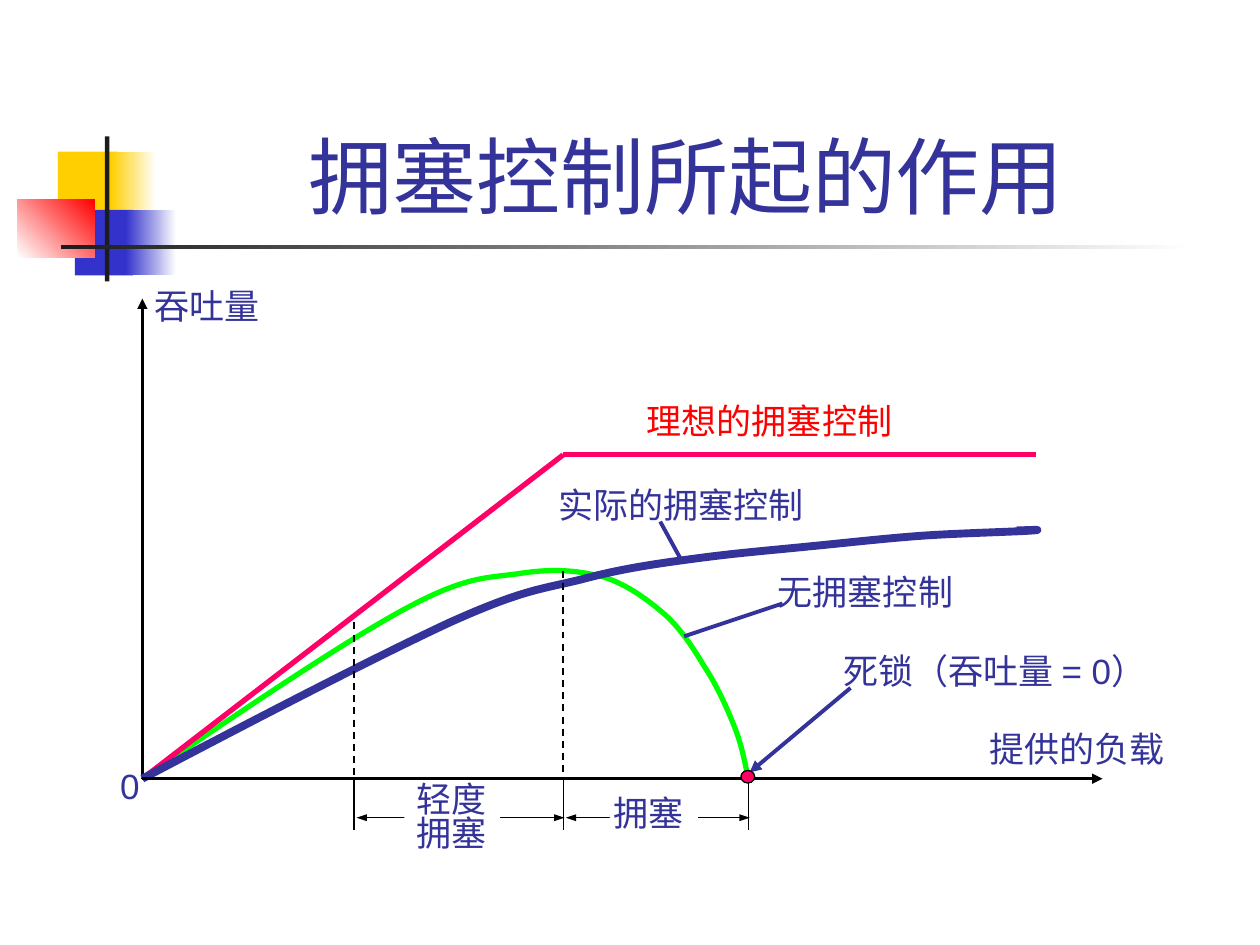
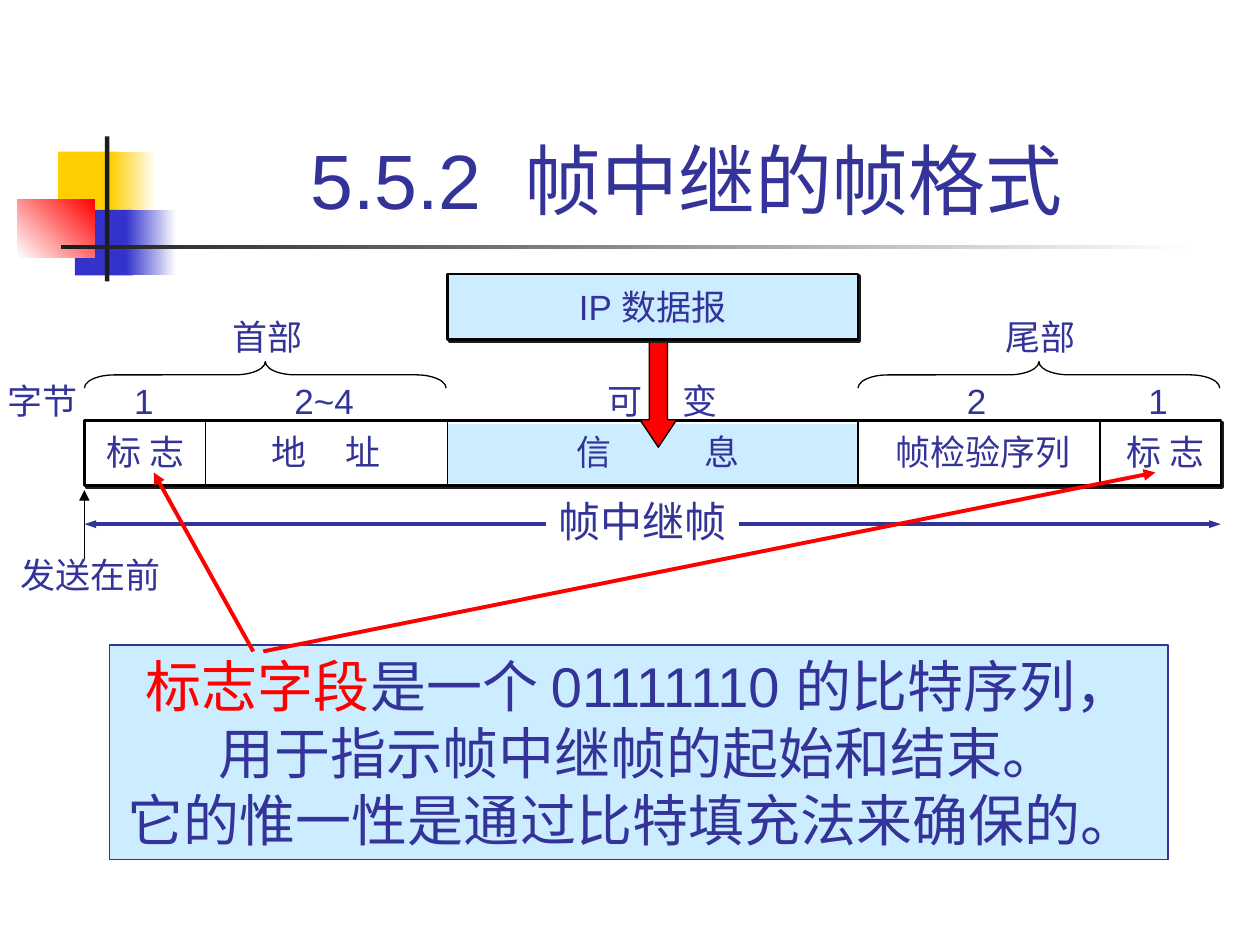
from dataclasses import dataclass
from itertools import accumulate, pairwise
from typing import NamedTuple, Optional, Sequence, Union

from lxml.etree import SubElement
from pptx import Presentation
from pptx.dml.color import RGBColor
from pptx.enum.dml import MSO_LINE
from pptx.enum.shapes import MSO_CONNECTOR, MSO_SHAPE
from pptx.enum.text import MSO_ANCHOR, MSO_AUTO_SIZE, PP_ALIGN
from pptx.oxml.ns import qn
from pptx.util import Inches, Pt

# The slide is a grid of 100 columns by 75 rows.
SLIDE_WIDTH, SLIDE_HEIGHT = Inches(10), Inches(7.5)
CELL = SLIDE_WIDTH // 100
FONT = "Arial"
INDIGO = RGBColor(0x33, 0x33, 0x99)
BLUE = RGBColor(0x33, 0x33, 0xCC)
YELLOW = RGBColor(0xFF, 0xCF, 0x01)
RED = RGBColor(0xFF, 0x00, 0x00)
PINK = RGBColor(0xFF, 0x00, 0x66)
GREEN = RGBColor(0x00, 0xFF, 0x00)
PALE_BLUE = RGBColor(0xCC, 0xEC, 0xFF)
CHARCOAL = RGBColor(0x1C, 0x1C, 0x1C)
BLACK = RGBColor(0, 0, 0)
WHITE = RGBColor(0xFF, 0xFF, 0xFF)

Point = tuple[float, float]


class Box(NamedTuple):
    left: float
    top: float
    width: float
    height: float


class Run(NamedTuple):
    text: str
    color: RGBColor = INDIGO
    spacing: float = 0


class Ornament(NamedTuple):
    box: Box
    start: RGBColor
    end: Optional[RGBColor] = None
    angle: float = 0


@dataclass(frozen=True)
class Caption:
    text: str
    left: float
    top: float
    width: Optional[float] = None
    color: RGBColor = INDIGO


@dataclass(frozen=True)
class Stroke:
    start: Point
    end: Point
    color: RGBColor = BLACK
    weight: float = 0.75
    head: bool = False
    tail: bool = False
    dashed: bool = False


@dataclass(frozen=True)
class Field:
    name: str
    size: str
    columns: float
    name_shift: float = 0
    size_shift: float = 0
    name_tab: float = 0
    size_tab: float = 0


ORNAMENTS = [
    Ornament(Box(4.6, 12.03, 4.8, 5.2), YELLOW),
    Ornament(Box(8.8, 12.03, 3.6, 5.2), YELLOW, WHITE),
    Ornament(Box(5.95, 16.65, 4.6, 5.2), BLUE),
    Ornament(Box(10, 16.65, 4, 5.2), BLUE, WHITE),
    Ornament(Box(1.4, 15.83, 6.1, 4.6), WHITE, RED, 45),
    Ornament(Box(8.33, 10.83, 0.35, 11.5), CHARCOAL),
    Ornament(Box(4.85, 19.45, 90, 0.35), CHARCOAL, WHITE),
]

ORIGIN = (11.3, 61.8)
MILD, HEAVY, DEADLOCK = 28.1, 44.7, 59.4  # load at which each stage starts
KNEE = (HEAVY, 36.1)
UNCONTROLLED = [
    ORIGIN, (19.2, 56.4), (27.2, 51), (32.2, 48.3), (37.2, 45.6), (38.8, 45.9),
    (41.4, 45.5), (44, 45.1), (46, 45.3), (47.9, 45.8), (49.8, 46.4),
    (51.4, 47.6), (52.8, 48.8), (54.1, 50), (55, 51.4), (55.9, 52.9),
    (56.9, 54.4), (57.7, 56.2), (58.3, 57.7), (58.9, 59.2), (59.1, 60.5),
    (DEADLOCK, 61.8),
]
ACTUAL = [
    ORIGIN, (20.6, 56.9), (29.9, 52.1), (35.7, 49.4), (41.5, 46.8),
    (42.8, 46.8), (46.1, 46), (49.4, 45.1), (52.4, 44.7), (55.4, 44.3),
    (58.4, 43.9), (60.9, 43.7), (63.9, 43.4), (67, 43.1), (70.5, 42.7),
    (73.5, 42.5), (76.5, 42.3), (80.8, 42.2), (82, 42.1), (83.2, 42),
    (80.9, 42.1), (80.7, 42.1),
]

FRAME_LEFT, FRAME_TOP, FRAME_HEIGHT = 6.7, 33.35, 5.2
FIELDS = [
    Field("标 志", "1", 9.6, name_shift=0.2),
    Field("地\t址", "2~4", 19.2, name_tab=5.9),
    Field("信\t息", "可\t变", 32.6, 0.45, 0.8, name_tab=10.2, size_tab=5.9),
    Field("帧检验序列", "2", 19.2, 0.4, -0.1),
    Field("标 志", "1", 9.6, 0.5, -0.1),
]


def grid(*cells: float) -> list[int]:
    return [round(cell * CELL) for cell in cells]


def write(frame, lines: Sequence[Union[str, Sequence[Run]]], *, size: float = 20,
          color: RGBColor = INDIGO, align=PP_ALIGN.LEFT, tab: float = 0,
          line_spacing: Optional[float] = None) -> None:
    for number, line in enumerate(lines):
        paragraph = frame.add_paragraph() if number else frame.paragraphs[0]
        paragraph.alignment = align
        if tab:
            stops = SubElement(paragraph._p.get_or_add_pPr(), qn("a:tabLst"))
            SubElement(stops, qn("a:tab"), pos=str(grid(tab)[0]), algn="l")
        if line_spacing:
            paragraph.line_spacing = line_spacing
        for part in [Run(line, color)] if isinstance(line, str) else line:
            run = paragraph.add_run()
            run.text = part.text
            run.font.name, run.font.size = FONT, Pt(size)
            run.font.color.rgb = part.color
            if part.spacing:
                run._r.get_or_add_rPr().set("spc", str(round(part.spacing * 100)))


def paint(shape, fill: Optional[RGBColor], line: Optional[RGBColor] = None,
          weight: float = 0.75) -> None:
    if fill is None:
        shape.fill.background()
    else:
        shape.fill.solid()
        shape.fill.fore_color.rgb = fill
    if line is None:
        shape.line.fill.background()
    else:
        shape.line.color.rgb = line
        shape.line.width = Pt(weight)


def add_preset(slide, kind, box: Box, fill: Optional[RGBColor] = None,
               line: Optional[RGBColor] = None, weight: float = 0.75):
    shape = slide.shapes.add_shape(kind, *grid(*box))
    shape.shadow.inherit = False
    paint(shape, fill, line, weight)
    return shape


def add_raised_box(slide, box: Box, fill: RGBColor):
    """A framed box with a hard shadow to the lower right."""
    shape = add_preset(slide, MSO_SHAPE.RECTANGLE, box, fill, BLACK, 1.5)
    effects = shape.element.spPr.find(qn("a:effectLst"))
    shadow = SubElement(effects, qn("a:outerShdw"), dist=str(Pt(1.4)),
                        dir="2700000", algn="ctr", rotWithShape="0")
    SubElement(shadow, qn("a:srgbClr"), val=str(CHARCOAL))
    return shape


def add_text(slide, box: Box, lines, *, fill: Optional[RGBColor] = None,
             line: Optional[RGBColor] = None, **text_format) -> None:
    shape = slide.shapes.add_textbox(*grid(*box))
    paint(shape, fill, line)
    shape.text_frame.word_wrap = False
    shape.text_frame.auto_size = MSO_AUTO_SIZE.SHAPE_TO_FIT_TEXT
    write(shape.text_frame, lines, **text_format)


def text_width(text: str, tab: float = 0) -> float:
    """Columns taken by 20 pt text and its two insets."""
    if tab:
        return 2 + tab + 2.8
    ems = sum(1 if ord(c) > 255 else 0.28 if c == " " else 0.6 for c in text)
    return 2 + 2.8 * ems


def add_caption(slide, caption: Caption) -> None:
    width = caption.width or text_width(caption.text)
    add_text(slide, Box(caption.left, caption.top, width, 4.4), [caption.text],
             color=caption.color)


def add_centered(slide, text: str, center: float, top: float, tab: float = 0) -> None:
    width = text_width(text, tab)
    add_text(slide, Box(center - width / 2, top, width, 4.4), [text], tab=tab)


def add_stroke(slide, stroke: Stroke) -> None:
    line = slide.shapes.add_connector(MSO_CONNECTOR.STRAIGHT,
                                      *grid(*stroke.start, *stroke.end))
    line.line.color.rgb = stroke.color
    line.line.width = Pt(stroke.weight)
    if stroke.dashed:
        line.line.dash_style = MSO_LINE.DASH
    outline = line.line._get_or_add_ln()
    breadth = "sm" if stroke.head and stroke.tail else "med"
    for tag, wanted in (("a:headEnd", stroke.head), ("a:tailEnd", stroke.tail)):
        if wanted:
            SubElement(outline, qn(tag), type="triangle", w=breadth)
    SubElement(line.element.spPr, qn("a:effectLst"))


def add_curve(slide, knots: Sequence[Point], color: RGBColor, weight: float) -> None:
    """Draw chained cubic Bézier pieces: a start, then three points for each."""
    builder = slide.shapes.build_freeform(*grid(*knots[0]))
    builder.add_line_segments([grid(*knot) for knot in knots[1:]], close=False)
    curve = builder.convert_to_shape()
    outline = next(curve.element.iter(qn("a:path")))
    segments = outline.findall(qn("a:lnTo"))
    for first in range(0, len(segments), 3):
        piece = SubElement(outline, qn("a:cubicBezTo"))
        for segment in segments[first:first + 3]:
            piece.append(segment[0])
            outline.remove(segment)
    curve.shadow.inherit = False
    paint(curve, None, color, weight)


def style_layout(layout, slide) -> None:
    """Give the layout its title style and move the ornaments into it."""
    title = layout.placeholders[0]
    title.left, title.top, title.width, title.height = grid(12.6, 2.35, 85.2, 16)
    title.text_frame.vertical_anchor = MSO_ANCHOR.BOTTOM
    title.text_frame.auto_size = MSO_AUTO_SIZE.NONE
    for number, ornament in enumerate(ORNAMENTS, start=100):
        shape = add_preset(slide, MSO_SHAPE.RECTANGLE, ornament.box, ornament.start)
        if ornament.end is not None:
            shape.fill.gradient()
            shape.fill.gradient_angle = ornament.angle
            for stop, color in zip(shape.fill.gradient_stops, ornament[1:3]):
                stop.color.rgb = color
        shape.element.nvSpPr.cNvPr.set("id", str(number))
        layout.shapes.element.append(shape.element)


def draw_congestion(slide) -> None:
    write(slide.shapes.title.text_frame, ["拥塞控制所起的作用 "], size=48,
          align=PP_ALIGN.CENTER)
    base = ORIGIN[1]
    add_stroke(slide, Stroke(ORIGIN, (ORIGIN[0], 23.7), weight=1.5, tail=True))
    add_curve(slide, UNCONTROLLED, GREEN, 3)
    for start, end in ((ORIGIN, KNEE), (KNEE, (82.2, KNEE[1]))):
        add_stroke(slide, Stroke(start, end, PINK, 3))
    add_curve(slide, ACTUAL, INDIGO, 4.5)
    for load, top in ((MILD, 49.4), (HEAVY, 45.3)):
        add_stroke(slide, Stroke((load, top), (load, base), weight=1, dashed=True))
    for load in (MILD, HEAVY, DEADLOCK):
        add_stroke(slide, Stroke((load, base), (load, 65.9)))
    for start, end in ((MILD, HEAVY), (HEAVY, DEADLOCK)):
        add_stroke(slide, Stroke((start + 0.2, 64.9), (end + 0.1, 64.9),
                                 head=True, tail=True))
    add_preset(slide, MSO_SHAPE.RECTANGLE, Box(48.4, 62.8, 7, 3.2), WHITE)
    add_text(slide, Box(32.1, 61.9, 7.6, 6.4), ["轻度", "拥塞"], fill=WHITE,
             line_spacing=0.8)
    add_stroke(slide, Stroke(ORIGIN, (87.5, base), weight=1.5, tail=True))
    for caption in (
        Caption("提供的负载", 77.55, 57.25), Caption("吞吐量", 11.3, 22.1),
        Caption("理想的拥塞控制", 50.35, 31.2, color=RED),
        Caption("实际的拥塞控制", 43.35, 37.9), Caption("无拥塞控制", 60.75, 44.75),
        Caption("死锁（吞吐量 = 0）", 65.95, 51.05, 27.4),
        Caption("拥塞", 47.7, 62.3), Caption("0", 8.55, 60.2),
    ):
        add_caption(slide, caption)
    add_stroke(slide, Stroke((52.4, 41.4), (54.1, 44.5), INDIGO, 2.25))
    add_stroke(slide, Stroke((62.1, 47.9), (54.3, 50.5), INDIGO, 2.25))
    add_stroke(slide, Stroke((67.5, 54.6), (59.5, 61.3), INDIGO, 2.25, tail=True))
    add_preset(slide, MSO_SHAPE.OVAL, Box(58.8, 61.15, 1.1, 1), PINK, BLACK)


def draw_frame_format(slide) -> None:
    write(slide.shapes.title.text_frame,
          [[Run("5.5.2"), Run(" ", spacing=12), Run("帧中继的帧格式 ")]],
          size=44, align=PP_ALIGN.CENTER)
    edges = list(accumulate((f.columns for f in FIELDS), initial=FRAME_LEFT))
    right, bottom = edges[-1], FRAME_TOP + FRAME_HEIGHT
    info_left, info_right = edges[2:4]
    info_width = info_right - info_left

    add_stroke(slide, Stroke((FRAME_LEFT, 41.6), (right, 41.6), INDIGO, 2.25, True, True))
    add_text(slide, Box(43.35, 38.8, 15.3, 5), ["帧中继帧"], size=24, fill=WHITE)
    add_caption(slide, Caption("发送在前", 0.65, 43.4))
    add_stroke(slide, Stroke((FRAME_LEFT, 44.4), (FRAME_LEFT, 38.9), tail=True))

    add_raised_box(slide, Box(FRAME_LEFT, FRAME_TOP, right - FRAME_LEFT, FRAME_HEIGHT), WHITE)
    add_preset(slide, MSO_SHAPE.RECTANGLE,
               Box(info_left, FRAME_TOP + 0.3, info_width, 4.7), PALE_BLUE)
    for edge in edges[1:-1]:
        add_stroke(slide, Stroke((edge, FRAME_TOP), (edge, bottom)))
    add_caption(slide, Caption("字节", -0.4, 29.6))
    for field, (start, end) in zip(FIELDS, pairwise(edges)):
        center = (start + end) / 2
        add_centered(slide, field.name, center + field.name_shift, 33.7, field.name_tab)
        add_centered(slide, field.size, center + field.size_shift, 29.6, field.size_tab)
    for part, start, end in (("首部", FRAME_LEFT, info_left), ("尾部", info_right, right)):
        center = (start + end) / 2 - 0.05
        brace = add_preset(slide, MSO_SHAPE.LEFT_BRACE,
                           Box(center - 1.05, 15.4, 2.1, end - start - 0.1), line=BLACK)
        brace.rotation = 90
        brace.adjustments[0] = 1.14
        add_centered(slide, part, center + 0.2, 24.55)

    arrow = add_preset(slide, MSO_SHAPE.DOWN_ARROW, Box(50.8, 26.9, 2.9, 8.6), RED, BLACK)
    arrow.adjustments[1] = 0.75
    datagram = add_raised_box(slide, Box(info_left, 21.75, info_width, FRAME_HEIGHT), PALE_BLUE)
    datagram.text_frame.vertical_anchor = MSO_ANCHOR.MIDDLE
    datagram.text_frame.word_wrap = False
    write(datagram.text_frame, ["IP 数据报"], align=PP_ALIGN.CENTER)
    add_text(slide, Box(8.7, 51.2, 84, 17), [
        [Run("标志字段", RED), Run("是一个 01111110 的比特序列，")],
        "用于指示帧中继帧的起始和结束。",
        "它的惟一性是通过比特填充法来确保的。 ",
    ], size=32, align=PP_ALIGN.CENTER, fill=PALE_BLUE, line=INDIGO)
    for start, end in ((20.1, 12.2), (20.9, 91.7)):
        add_stroke(slide, Stroke((start, 51.7), (end, 37.5), RED, 2.25, tail=True))


def main() -> None:
    deck = Presentation()
    deck.slide_width, deck.slide_height = SLIDE_WIDTH, SLIDE_HEIGHT
    layout = deck.slide_layouts[5]
    congestion, frame_format = (deck.slides.add_slide(layout) for _ in range(2))
    style_layout(layout, congestion)
    draw_congestion(congestion)
    draw_frame_format(frame_format)
    deck.save("out.pptx")


if __name__ == "__main__":
    main()
